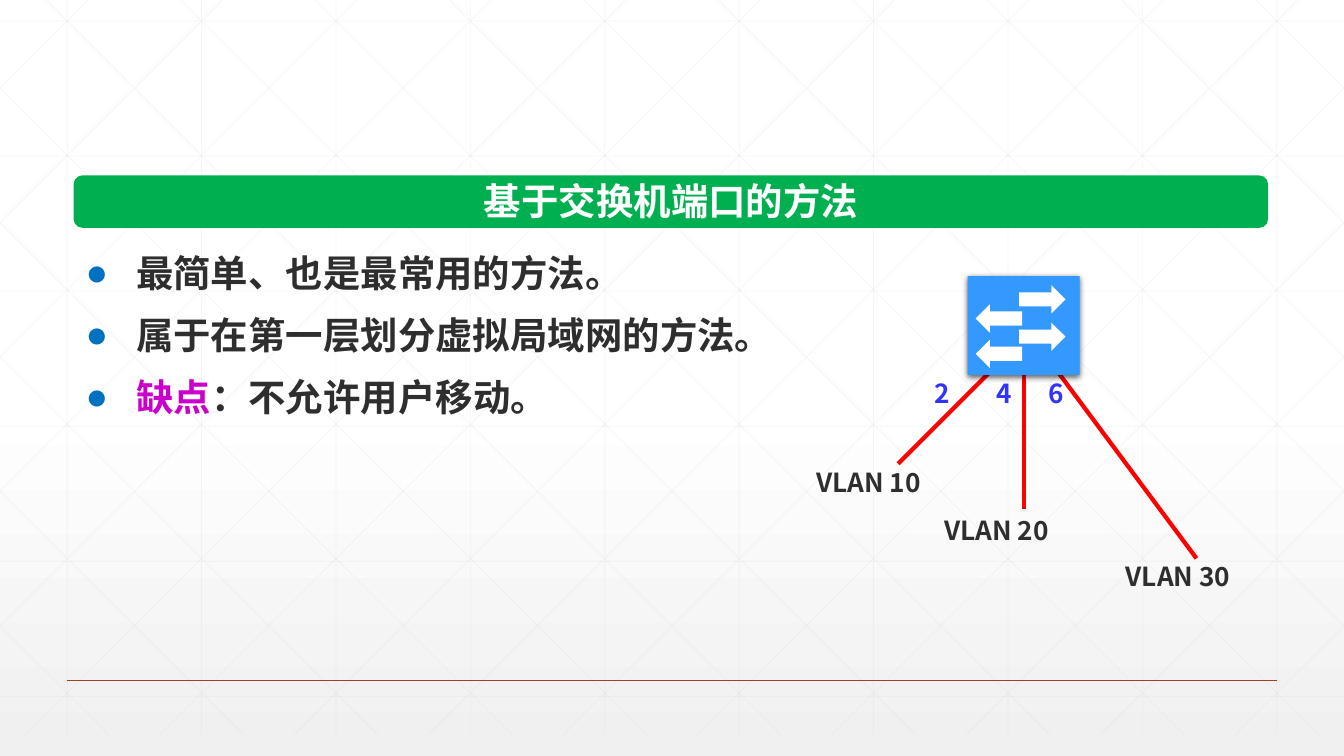
import pptx
import pptx.dml.color
import pptx.enum.shapes
import pptx.enum.text
import pptx.oxml
import pptx.oxml.ns
import pptx.util
from lxml import etree

COLOURS = {
    "paper": "FFFFFF", "paper_foot": "F0F0F0", "lattice": "D9D9D9",
    "rule": "A43F27", "bar": "00B050", "white": "FFFFFF", "ink": "2D2E2D",
    "bullet": "0070C0", "drawback": "CC00CC", "cable": "FF0000",
    "switch": "3399FF", "port": "3333FF", "shadow": "000000",
}
FONT = "Noto Sans CJK SC"
WIDTH, HEIGHT = pptx.util.Inches(13.33), pptx.util.Inches(7.5)
COLUMNS, ROWS = 160, 90
LATTICE_FOOT = 87.5
LABEL_SIZE, TEXT_SIZE = 18.7, 26.7
SHAPES = pptx.enum.shapes.MSO_SHAPE


def col(count):
    return round(WIDTH * count / COLUMNS)


def row(count):
    return round(HEIGHT * count / ROWS)


def box(left, top, width, height):
    return col(left), row(top), col(width), row(height)


def rgb(colour):
    return pptx.dml.color.RGBColor.from_string(COLOURS[colour])


def add_xml(parent, tag, **attributes):
    """Append a drawing element such as a:buChar and return it."""
    child = etree.SubElement(parent, pptx.oxml.ns.qn(tag))
    for name, value in attributes.items():
        child.set(name, str(value))
    return child


def add_line(slide, start, end, colour, width, opacity=100):
    line = slide.shapes.add_connector(
        pptx.enum.shapes.MSO_CONNECTOR.STRAIGHT,
        col(start[0]), row(start[1]), col(end[0]), row(end[1]))
    line.line.color.rgb = rgb(colour)
    line.line.width = pptx.util.Pt(width)
    properties = line._element.spPr
    if opacity < 100:
        paint = properties.find(".//" + pptx.oxml.ns.qn("a:srgbClr"))
        add_xml(paint, "a:alpha", val=opacity * 1000)
    add_xml(properties, "a:effectLst")


def add_solid(slide, preset, place, colour):
    solid = slide.shapes.add_shape(preset, *box(*place))
    solid.shadow.inherit = False
    solid.fill.solid()
    solid.fill.fore_color.rgb = rgb(colour)
    solid.line.fill.background()
    return solid


def style_paragraph(paragraph, size, colour):
    paragraph.font.size = pptx.util.Pt(size)
    paragraph.font.bold = True
    paragraph.font.color.rgb = rgb(colour)
    paragraph.font.name = FONT
    defaults = paragraph._p.pPr.find(pptx.oxml.ns.qn("a:defRPr"))
    add_xml(defaults, "a:ea", typeface=FONT)


def add_label(slide, text, place, colour):
    label = slide.shapes.add_textbox(*box(*place))
    label.text_frame.word_wrap = False
    paragraph = label.text_frame.paragraphs[0]
    paragraph.text = text
    style_paragraph(paragraph, LABEL_SIZE, colour)


def place_placeholder(placeholder, place):
    """Move a placeholder to its grid place and in front of what is drawn."""
    (placeholder.left, placeholder.top,
     placeholder.width, placeholder.height) = box(*place)
    placeholder.text_frame.auto_size = pptx.enum.text.MSO_AUTO_SIZE.NONE
    placeholder._element.getparent().append(placeholder._element)


def paint_background(slide):
    fill = slide.background.fill
    fill.gradient()
    fill.gradient_angle = 270
    stops = zip(fill.gradient_stops, (0.53, 1), ("paper", "paper_foot"))
    for stop, position, colour in stops:
        stop.position = position
        stop.color.rgb = rgb(colour)


def add_lattice(slide):
    """Draw faint uprights, levels and mirrored diagonals within the slide."""
    lines = [((8 + 16 * i, 0), (8 + 16 * i, LATTICE_FOOT)) for i in range(10)]
    lines += [((0, 2.5 + 16.08 * i), (COLUMNS, 2.5 + 16.08 * i)) for i in range(6)]
    for i in range(-5, 10):
        offset = 5.5 + 16 * i
        top = max(0, -offset)
        foot = min(LATTICE_FOOT, COLUMNS - offset)
        start, end = offset + top, offset + foot
        lines.append(((start, top), (end, foot)))
        lines.append(((COLUMNS - start, top), (COLUMNS - end, foot)))
    for start, end in lines:
        add_line(slide, start, end, "lattice", 0.5, opacity=25)


def add_heading(slide, text):
    bar = add_solid(slide, SHAPES.ROUNDED_RECTANGLE,
                    (8.76, 20.88, 142.2, 6.24), "bar")
    bar.adjustments[0] = 0.167
    heading = slide.shapes.title
    place_placeholder(heading, (56.28, 20.52, 47.28, 6.6))
    heading.text_frame.word_wrap = False
    heading.text_frame.text = text
    paragraph = heading.text_frame.paragraphs[0]
    paragraph.alignment = pptx.enum.text.PP_ALIGN.CENTER
    style_paragraph(paragraph, TEXT_SIZE, "white")


def add_points(slide, points):
    """Fill the body; each point is a list of (text, colour or None)."""
    body = slide.placeholders[1]
    place_placeholder(body, (9, 27.24, 142.08, 22.68))
    frame = body.text_frame
    for index, pieces in enumerate(points):
        paragraph = frame.add_paragraph() if index else frame.paragraphs[0]
        paragraph.line_spacing = pptx.util.Pt(44)
        paragraph.space_before = pptx.util.Pt(0)
        properties = paragraph._p.get_or_add_pPr()
        indent = pptx.util.Inches(0.5)
        properties.set("marL", str(indent))
        properties.set("indent", str(-indent))
        bullet_colour = add_xml(properties, "a:buClr")
        add_xml(bullet_colour, "a:srgbClr", val=COLOURS["bullet"])
        add_xml(properties, "a:buChar", char="●")
        style_paragraph(paragraph, TEXT_SIZE, "ink")
        for text, colour in pieces:
            run = paragraph.add_run()
            run.text = text
            if colour:
                run.font.color.rgb = rgb(colour)


def add_switch(slide):
    switch = add_solid(slide, SHAPES.RECTANGLE,
                       (115.2, 32.88, 13.32, 11.76), "switch")
    effects = switch._element.spPr.find(pptx.oxml.ns.qn("a:effectLst"))
    shadow = add_xml(effects, "a:outerShdw", blurRad=pptx.util.Pt(4.5),
                     dist=pptx.util.Pt(1.5), dir=90 * 60000, rotWithShape=0)
    shade = add_xml(shadow, "a:srgbClr", val=COLOURS["shadow"])
    add_xml(shade, "a:alpha", val=63000)
    for preset, left, tops in ((SHAPES.RIGHT_ARROW, 121.32, (33.96, 38.4)),
                               (SHAPES.LEFT_ARROW, 116.16, (36.24, 40.44))):
        for top in tops:
            add_solid(slide, preset, (left, top, 5.52, 3.36), "white")


def add_vlan_diagram(slide):
    vlans = [
        # port, port left, VLAN, VLAN left and top, cable start and end
        ("2", 110.04, "VLAN 10", (96, 54.96), (118.92, 43.2), (106.92, 55.2)),
        ("4", 117.48, "VLAN 20", (111.24, 60.6), (121.92, 43.2), (121.92, 60.6)),
        ("6", 123.6, "VLAN 30", (132.84, 66.12), (125.04, 43.08), (142.44, 66.48)),
    ]
    for *_, start, end in vlans:
        add_line(slide, start, end, "cable", 3)
    add_switch(slide)
    for port, port_left, vlan, corner, *_ in vlans:
        add_label(slide, vlan, (*corner, 16.32, 5.04), "ink")
        add_label(slide, port, (port_left, 44.28, 4.32, 5.04), "port")


def main():
    deck = pptx.Presentation()
    deck.slide_width, deck.slide_height = WIDTH, HEIGHT
    slide = deck.slides.add_slide(deck.slide_layouts[1])
    paint_background(slide)
    add_lattice(slide)
    add_line(slide, (8, 81), (152, 81), "rule", 1)
    add_heading(slide, "基于交换机端口的方法")
    add_points(slide, [
        [("最简单、也是最常用的方法。", None)],
        [("属于在第一层划分虚拟局域网的方法。", None)],
        [("缺点", "drawback"), ("：不允许用户移动。", None)],
    ])
    add_vlan_diagram(slide)
    deck.save("out.pptx")


if __name__ == "__main__":
    main()
